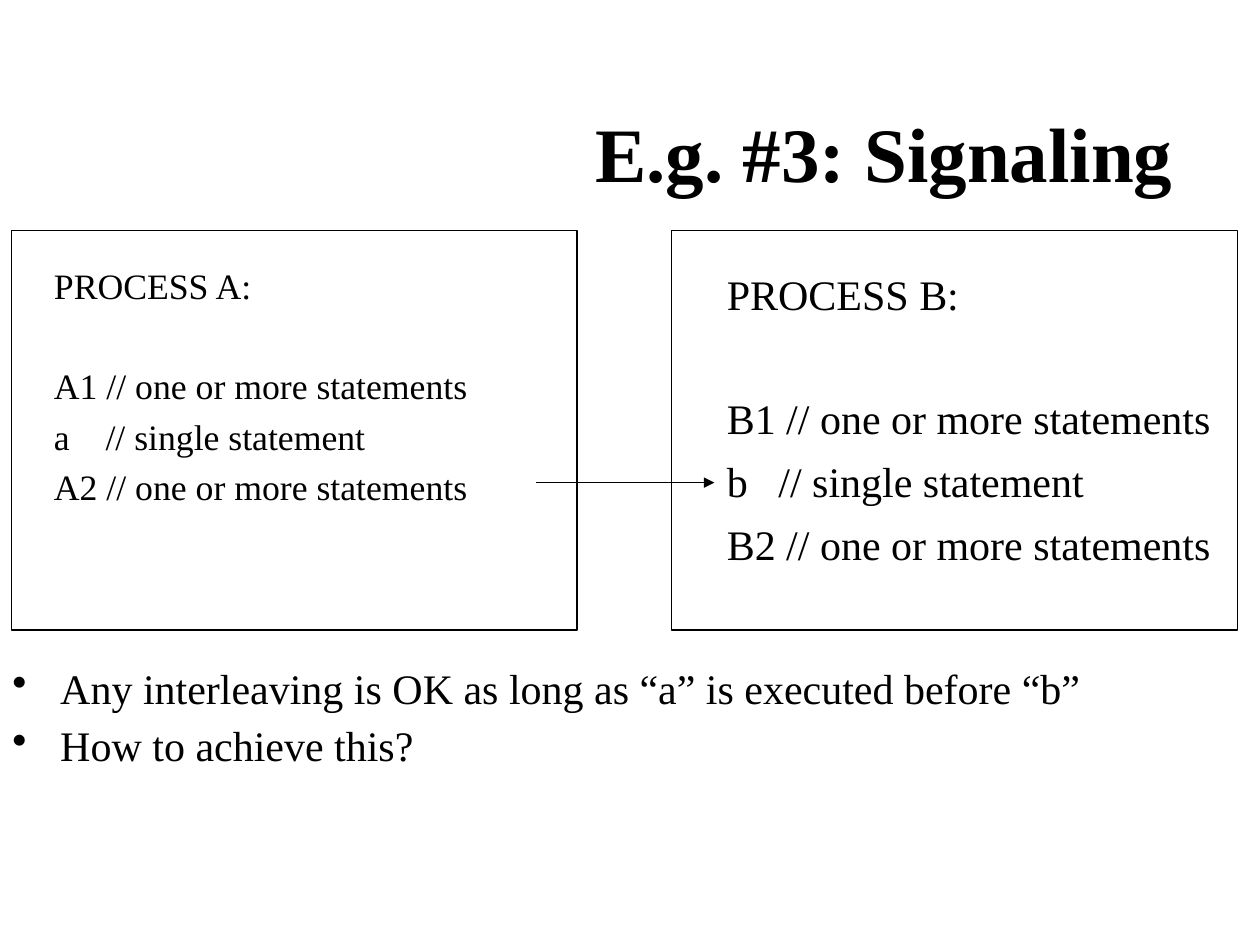
from lxml.etree import SubElement
from pptx import Presentation
from pptx.dml.color import RGBColor
from pptx.enum.shapes import MSO_CONNECTOR, MSO_SHAPE
from pptx.enum.text import MSO_ANCHOR, PP_ALIGN
from pptx.oxml.ns import qn
from pptx.util import Inches, Pt


def color(value):
    return RGBColor.from_string(value)


class SlideBuilder:
    font = "Times New Roman"
    ink = "000000"
    line_width = Pt(0.75)

    def __init__(self, slide):
        self.slide = slide

    def text(self, box, lines, size, bold=False, anchor=MSO_ANCHOR.TOP,
             gap_before=None, tab=None, bullet_indent=None, **paragraph_format):
        shape = self.slide.shapes.add_textbox(*map(Inches, box))
        frame = shape.text_frame
        frame.word_wrap = True
        frame.vertical_anchor = anchor
        for index, line in enumerate(lines):
            paragraph = frame.paragraphs[0] if index == 0 else frame.add_paragraph()
            for name, value in paragraph_format.items():
                setattr(paragraph, name, value)
            if gap_before and index == 1:
                paragraph.space_before = gap_before
            run = paragraph.add_run()
            run.text = line
            values = {"name": self.font, "size": Pt(size), "bold": bold}
            for name, value in values.items():
                setattr(run.font, name, value)
            run.font.color.rgb = color(self.ink)
            properties = paragraph._p.get_or_add_pPr()
            if bullet_indent:
                properties.set("marL", str(Inches(bullet_indent)))
                properties.set("indent", str(-Inches(bullet_indent)))
                SubElement(properties, qn("a:buChar"), char="•")
            if tab:
                tabs = SubElement(properties, qn("a:tabLst"))
                SubElement(tabs, qn("a:tab"), pos=str(Inches(tab)), algn="l")

    def frame(self, box):
        shape = self.slide.shapes.add_shape(MSO_SHAPE.RECTANGLE, *map(Inches, box))
        shape.shadow.inherit = False
        shape.fill.background()
        shape.line.color.rgb = color(self.ink)
        shape.line.width = self.line_width

    def arrow(self, start, end):
        connector = self.slide.shapes.add_connector(
            MSO_CONNECTOR.STRAIGHT, *map(Inches, start + end))
        connector.line.color.rgb = color(self.ink)
        connector.line.width = self.line_width
        SubElement(connector.line._get_or_add_ln(), qn("a:tailEnd"), type="triangle")
        SubElement(connector._element.spPr, qn("a:effectLst"))


presentation = Presentation()
presentation.slide_width = Inches(10)
presentation.slide_height = Inches(7.5)
slide = presentation.slides.add_slide(presentation.slide_layouts[6])
builder = SlideBuilder(slide)

builder.text((0.58, 0.58, 8.83, 1.25), ["E.g. #3: Signaling"], 44, bold=True,
             anchor=MSO_ANCHOR.MIDDLE, alignment=PP_ALIGN.RIGHT)

processes = [
    ("A", "a", 0.09, 0.33, 20.4, 0.9, 7),
    ("B", "b", 5.33, 5.67, 24, 1.0, 7.2),
]
for name, step, frame_left, text_left, size, spacing, before in processes:
    builder.frame((frame_left, 1.83, 4.49, 3.17))
    lines = [
        f"PROCESS {name}:",
        f"{name}1 // one or more statements",
        f"{step}\t// single statement",
        f"{name}2 // one or more statements",
    ]
    builder.text((text_left, 2.08, 4.17, 2.75), lines, size, tab=0.41,
                 gap_before=Pt(2 * before + 1.15 * size * spacing),
                 line_spacing=spacing, space_before=Pt(before))

builder.arrow((4.25, 3.83), (5.67, 3.83))

builder.text((0, 5.25, 9.83, 1.75),
             ["Any interleaving is OK as long as “a” is executed before “b”",
              "How to achieve this?"],
             24, bullet_indent=0.38, line_spacing=0.9, space_before=Pt(7.2))

presentation.save("out.pptx")
